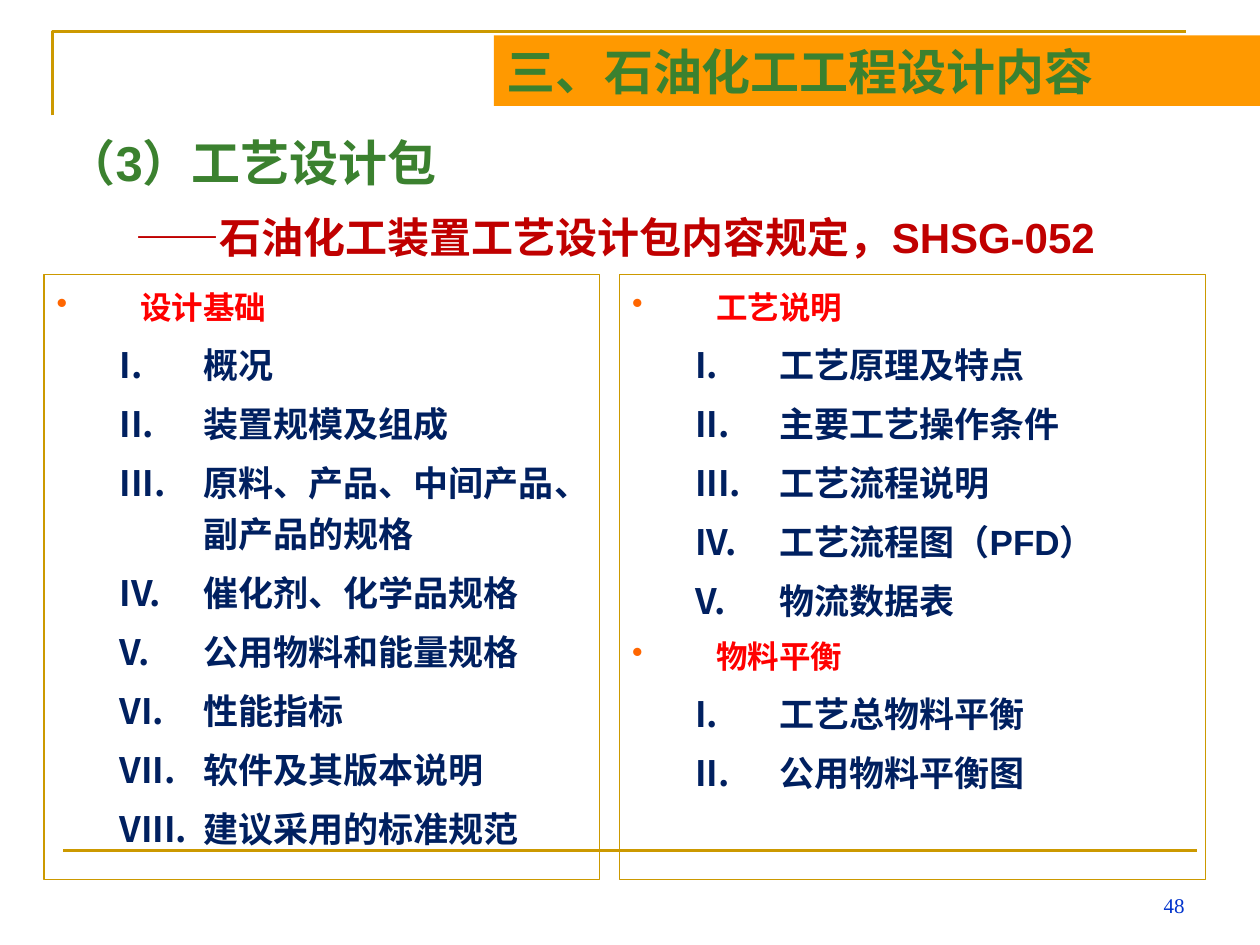
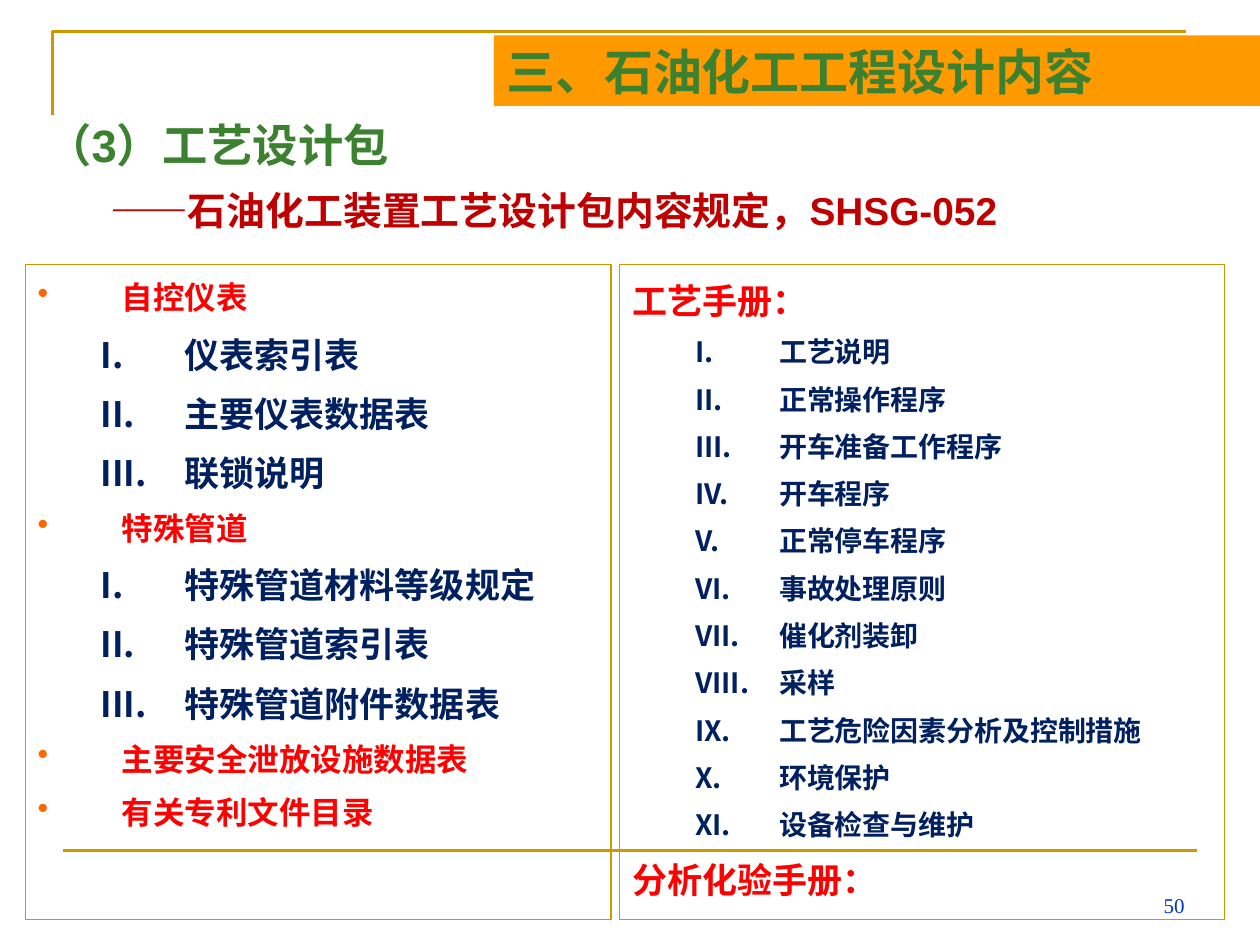
from dataclasses import dataclass

from lxml import etree
from pptx import Presentation
from pptx.dml.color import RGBColor
from pptx.enum import shapes, text
from pptx.oxml import ns
from pptx.util import Pt


@dataclass(frozen=True)
class Theme:
    gold: str = "CC9900"
    orange: str = "FF9900"
    bullet: str = "FF6600"
    green: str = "3B812F"
    crimson: str = "C00000"
    red: str = "FF0000"
    navy: str = "002060"
    number: str = "0033CC"
    sans: str = "Arial"
    serif: str = "Times New Roman"
    title_size: float = 28
    number_size: float = 12
    frame_width: float = 1.5
    panel_width: float = 0.75


THEME = Theme()


@dataclass(frozen=True)
class ListStyle:
    size: float
    color: str
    before: float
    level: int
    margin: float
    bullet: str = ""
    bullet_color: str = ""


HANGING = 48
ROMAN = "romanUcPeriod"
TOPIC = ListStyle(18, THEME.red, 4.5, 0, 48, "•", THEME.bullet)
ITEM = ListStyle(20, THEME.navy, 5, 1, 84, ROMAN, THEME.navy)
MANUAL = ListStyle(20, THEME.red, 5, 1, 48)
STEP = ListStyle(16, THEME.navy, 4, 2, 84, ROMAN, THEME.navy)

BAND_TITLE = "三、石油化工工程设计内容"
HEADING = "（3）工艺设计包"
SUBHEADING = "——石油化工装置工艺设计包内容规定，SHSG-052"

# Panels: (left, top, width, height), then groups of (style, title, item style, items)
PAGES = [
    dict(
        number=48, heading_at=(31, 65.5, 669, 102), heading_size=28,
        subheading_size=24, subheading_indent=39.5, spacing=1.2,
        panels=[
            ((25.2, 157, 317.5, 345.6), [
                (TOPIC, "设计基础", ITEM, [
                    "概况", "装置规模及组成", "原料、产品、中间产品、副产品的规格",
                    "催化剂、化学品规格", "公用物料和能量规格", "性能指标",
                    "软件及其版本说明", "建议采用的标准规范"]),
            ]),
            ((354.2, 157, 334.8, 345.6), [
                (TOPIC, "工艺说明", ITEM, [
                    "工艺原理及特点", "主要工艺操作条件", "工艺流程说明",
                    "工艺流程图（PFD）", "物流数据表"]),
                (TOPIC, "物料平衡", ITEM, ["工艺总物料平衡", "公用物料平衡图"]),
            ]),
        ],
    ),
    dict(
        number=50, heading_at=(19.4, 60.5, 669, 79), heading_size=25.9,
        subheading_size=22.2, subheading_indent=36.5, spacing=1.1,
        panels=[
            ((14.4, 151.2, 334.8, 374.4), [
                (TOPIC, "自控仪表", ITEM, ["仪表索引表", "主要仪表数据表", "联锁说明"]),
                (TOPIC, "特殊管道", ITEM, [
                    "特殊管道材料等级规定", "特殊管道索引表", "特殊管道附件数据表"]),
                (TOPIC, "主要安全泄放设施数据表", ITEM, []),
                (TOPIC, "有关专利文件目录", ITEM, []),
            ]),
            ((354.2, 151.2, 345.6, 374.4), [
                (MANUAL, "工艺手册：", STEP, [
                    "工艺说明", "正常操作程序", "开车准备工作程序", "开车程序",
                    "正常停车程序", "事故处理原则", "催化剂装卸", "采样",
                    "工艺危险因素分析及控制措施", "环境保护", "设备检查与维护"]),
                (MANUAL, "分析化验手册：", STEP, []),
            ]),
        ],
    ),
]


# Text helpers
def points(values):
    return [Pt(value) for value in values]


def next_para(frame):
    first = frame.paragraphs[0]
    return frame.add_paragraph() if first.runs else first


def style_font(para, size, color, name=THEME.sans, bold=True):
    font = para.font
    font.size, font.name, font.bold = Pt(size), name, bold
    font.color.rgb = RGBColor.from_string(color)


def set_indent(para, margin, first):
    properties = para._p.get_or_add_pPr()
    properties.set("marL", str(Pt(margin)))
    properties.set("indent", str(Pt(first)))
    return properties


def set_bullet(properties, style):
    if not style.bullet:
        etree.SubElement(properties, ns.qn("a:buNone"))
        return
    color = etree.SubElement(properties, ns.qn("a:buClr"))
    etree.SubElement(color, ns.qn("a:srgbClr"), val=style.bullet_color)
    if style.bullet == ROMAN:
        etree.SubElement(properties, ns.qn("a:buAutoNum"), type=ROMAN)
    else:
        etree.SubElement(properties, ns.qn("a:buChar"), char=style.bullet)


def add_entry(frame, words, style):
    para = next_para(frame)
    is_first = not frame.paragraphs[0].runs
    para.level = style.level
    set_bullet(set_indent(para, style.margin, -HANGING), style)
    para.line_spacing = 1.2
    para.space_before = Pt(0 if is_first else style.before)
    style_font(para, style.size, style.color)
    para.add_run().text = words


# Shape helpers
def add_text_box(page, at):
    frame = page.shapes.add_textbox(*points(at)).text_frame
    frame.word_wrap = True
    return frame


def add_rectangle(page, at):
    box = page.shapes.add_shape(shapes.MSO_SHAPE.RECTANGLE, *points(at))
    box.shadow.inherit = False
    box.text_frame.word_wrap = True
    return box


def style_line(line, width):
    line.color.rgb = RGBColor.from_string(THEME.gold)
    line.width = Pt(width)


# Parts shared by all pages
def add_frame_lines(page):
    builder = page.shapes.build_freeform(Pt(30), Pt(66), scale=1.0)
    builder.add_line_segments([points((30, 18)), points((678, 18))], close=False)
    corner = builder.convert_to_shape()
    corner.shadow.inherit = False
    corner.fill.background()
    style_line(corner.line, THEME.frame_width)

    rule = page.shapes.add_connector(
        shapes.MSO_CONNECTOR.STRAIGHT, *points((36, 486, 684, 486)))
    etree.SubElement(rule._element.spPr, ns.qn("a:effectLst"))
    style_line(rule.line, THEME.frame_width)


def add_page_number(page, number):
    frame = add_text_box(page, (516, 492, 168, 36))
    frame.vertical_anchor = text.MSO_ANCHOR.BOTTOM
    para = frame.paragraphs[0]
    para.alignment = text.PP_ALIGN.RIGHT
    style_font(para, THEME.number_size, THEME.number, THEME.serif, bold=False)
    para.add_run().text = str(number)


def add_title_band(page):
    band = add_rectangle(page, (282.2, 20.2, 437.8, 40.3))
    band.fill.solid()
    band.fill.fore_color.rgb = RGBColor.from_string(THEME.orange)
    band.line.fill.background()
    band.text_frame.vertical_anchor = text.MSO_ANCHOR.MIDDLE
    para = band.text_frame.paragraphs[0]
    para.alignment = text.PP_ALIGN.LEFT
    style_font(para, THEME.title_size, THEME.green, THEME.serif)
    para.add_run().text = BAND_TITLE


# Page content
def add_heading(page, content):
    frame = add_text_box(page, content["heading_at"])
    lines = [
        (HEADING, content["heading_size"], THEME.green, 0, 0),
        (SUBHEADING, content["subheading_size"], THEME.crimson,
         content["subheading_indent"], 6),
    ]
    for words, size, color, margin, before in lines:
        para = next_para(frame)
        set_indent(para, margin, 0)
        para.line_spacing = content["spacing"]
        para.space_before = Pt(before)
        style_font(para, size, color)
        para.add_run().text = words


def add_panel(page, at, groups):
    panel = add_rectangle(page, at)
    panel.fill.background()
    style_line(panel.line, THEME.panel_width)
    frame = panel.text_frame
    frame.vertical_anchor = text.MSO_ANCHOR.TOP
    for title_style, title, item_style, items in groups:
        add_entry(frame, title, title_style)
        for item in items:
            add_entry(frame, item, item_style)
    for para in frame.paragraphs:
        para.alignment = text.PP_ALIGN.LEFT


def main():
    deck = Presentation()
    deck.slide_width, deck.slide_height = points((720, 540))
    blank = deck.slide_layouts[6]
    for content in PAGES:
        page = deck.slides.add_slide(blank)
        add_frame_lines(page)
        add_page_number(page, content["number"])
        add_heading(page, content)
        for at, groups in content["panels"]:
            add_panel(page, at, groups)
        add_title_band(page)
    deck.save("out.pptx")


if __name__ == "__main__":
    main()
